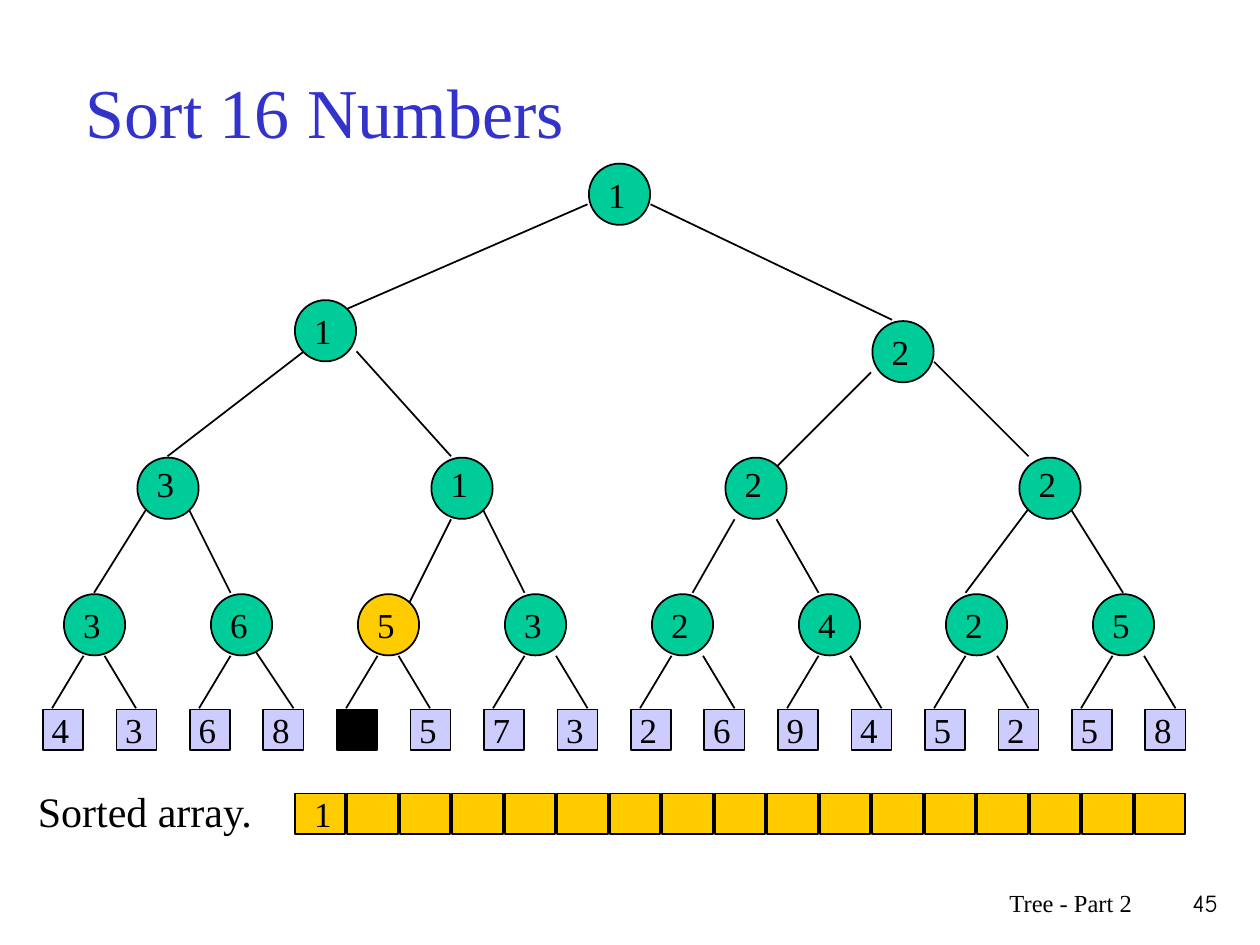
from dataclasses import dataclass

from lxml.etree import SubElement
from pptx import Presentation
from pptx.dml.color import RGBColor
from pptx.enum.shapes import MSO_CONNECTOR, MSO_SHAPE
from pptx.enum.text import MSO_ANCHOR, PP_ALIGN
from pptx.oxml.ns import qn
from pptx.util import Pt


@dataclass(frozen=True)
class Theme:
    ink: str = "000000"
    heading: str = "3333CC"
    node: str = "00CC99"
    active: str = "FFCC00"
    leaf: str = "CCCCFF"
    font: str = "Times New Roman"
    number_font: str = "Comic Neue"
    title_size: int = 40
    caption_size: int = 24
    value_size: int = 20
    footer_size: int = 14
    line: int = 1


THEME = Theme()

NODE_SIZE = 35
CELL_SIZE = 23
LABEL_WIDTH, LABEL_HEIGHT = 24.5, 31
SHAPE_INSET = 0.75

LEAVES = "4368157326945258"
USED_LEAF = 4
ACTIVE_MATCH = 2

# Winners of each round: (left, top, value), relative to the tree
FIRST_ROUND = [(12 + 84 * i, 246, value) for i, value in enumerate("36532425")]
SECOND_ROUND = [(54 + 168 * i, 168, value) for i, value in enumerate("3122")]
SEMIFINALS = [(144, 78, "1"), (474, 90, "2")]
FINAL = [(312, 0, "1")]

# Branches above the first round: start x, start y, end x, end y
UPPER_BRANCHES = [
    (312, 24, 174, 84), (348, 24, 486, 90),
    (150, 108, 72, 168), (180, 108, 234, 168),
    (474, 120, 420, 174), (510, 114, 564, 168),
    (60, 198, 30, 246), (84, 198, 108, 246),
    (234, 204, 210, 252), (252, 198, 276, 246),
    (396, 204, 372, 246), (420, 204, 444, 246),
    (564, 198, 528, 246), (588, 198, 618, 246),
]
# Right branch to a leaf, within each match: start x, start y, end x
RIGHT_BRANCHES = [(36, 282, 54), (36, 276, 60), (36, 282, 54)] + [(42, 282, 60)] * 5


def add_text(slide, text, left, top, width, height, *, size, font=THEME.font,
             color=THEME.ink, align=PP_ALIGN.LEFT, anchor=MSO_ANCHOR.TOP, wrap=True):
    box = slide.shapes.add_textbox(Pt(left), Pt(top), Pt(width), Pt(height))
    frame = box.text_frame
    frame.word_wrap = wrap
    frame.vertical_anchor = anchor
    paragraph = frame.paragraphs[0]
    paragraph.text = text
    paragraph.alignment = align
    paragraph.font.size = Pt(size)
    paragraph.font.name = font
    paragraph.font.color.rgb = RGBColor.from_string(color)


def add_value(slide, value, left, top):
    add_text(slide, value, left, top, LABEL_WIDTH, LABEL_HEIGHT,
             size=THEME.value_size, wrap=False)


def add_outlined(slide, kind, left, top, width, height, fill):
    shape = slide.shapes.add_shape(kind, Pt(left), Pt(top), Pt(width), Pt(height))
    shape.shadow.inherit = False
    shape.fill.solid()
    shape.fill.fore_color.rgb = RGBColor.from_string(fill)
    shape.line.color.rgb = RGBColor.from_string(THEME.ink)
    shape.line.width = Pt(THEME.line)


def add_branch(slide, start_x, start_y, end_x, end_y):
    branch = slide.shapes.add_connector(
        MSO_CONNECTOR.STRAIGHT, Pt(start_x), Pt(start_y), Pt(end_x), Pt(end_y))
    branch.line.color.rgb = RGBColor.from_string(THEME.ink)
    branch.line.width = Pt(THEME.line)
    SubElement(branch._element.spPr, qn("a:effectLst"))


def add_nodes(slide, left, top, nodes, label_drop=2, active=None):
    """Draw one round of circles; label_drop is the label's offset from the circle's top."""
    for index, (x, y, value) in enumerate(nodes):
        node_left, node_top = left + x + SHAPE_INSET, top + y + SHAPE_INSET
        fill = THEME.active if index == active else THEME.node
        add_outlined(slide, MSO_SHAPE.OVAL, node_left, node_top, NODE_SIZE, NODE_SIZE, fill)
        add_value(slide, value, node_left + 4, node_top + label_drop)


def add_leaves(slide, left, top, pitch):
    for index, value in enumerate(LEAVES):
        leaf_left = left + pitch * index
        fill = THEME.ink if index == USED_LEAF else THEME.leaf
        add_outlined(slide, MSO_SHAPE.RECTANGLE, leaf_left, top, CELL_SIZE, CELL_SIZE, fill)
        add_value(slide, value, leaf_left - 2, top - 4.4)


def add_tree(slide, left, top):
    branches = list(UPPER_BRANCHES)
    for match, (start_x, start_y, end_x) in enumerate(RIGHT_BRANCHES):
        x = 84 * match
        branches += [(x + 24, 282, x + 6, 312), (x + start_x, start_y, x + end_x, 312)]
    for start_x, start_y, end_x, end_y in branches:
        add_branch(slide, left + start_x, top + start_y, left + end_x, top + end_y)

    add_leaves(slide, left + SHAPE_INSET, top + 312 + SHAPE_INSET, pitch=42)
    add_nodes(slide, left, top, FIRST_ROUND, active=ACTIVE_MATCH)
    add_nodes(slide, left, top, SECOND_ROUND, label_drop=-0.5)
    add_nodes(slide, left, top, SEMIFINALS)
    add_nodes(slide, left, top, FINAL)


def add_sorted_array(slide, left, top, cells=17, pitch=30):
    add_text(slide, "Sorted array.", left, top, 142.5, 36, size=THEME.caption_size)
    array_left, array_top = left + 154, top + 8
    for index in range(cells):
        add_outlined(slide, MSO_SHAPE.RECTANGLE, array_left + pitch * index, array_top,
                     28.8, CELL_SIZE, THEME.active)
    add_value(slide, "1", array_left + 4, array_top - 4.4)


def add_footer(slide, left, top):
    add_text(slide, "Tree - Part 2", left, top, 228, 36,
             size=THEME.footer_size, align=PP_ALIGN.RIGHT)
    add_text(slide, "45", left + 228, top, 49, 36, size=THEME.footer_size,
             font=THEME.number_font, align=PP_ALIGN.RIGHT)


def main():
    presentation = Presentation()
    presentation.slide_width, presentation.slide_height = Pt(720), Pt(540)
    slide = presentation.slides.add_slide(presentation.slide_layouts[6])
    add_text(slide, "Sort 16 Numbers", 42, 18, 612, 90, size=THEME.title_size,
             color=THEME.heading, anchor=MSO_ANCHOR.MIDDLE)
    add_tree(slide, 23.75, 92.75)
    add_sorted_array(slide, 14.5, 445.5)
    add_footer(slide, 426, 504)
    presentation.save("out.pptx")


if __name__ == "__main__":
    main()
